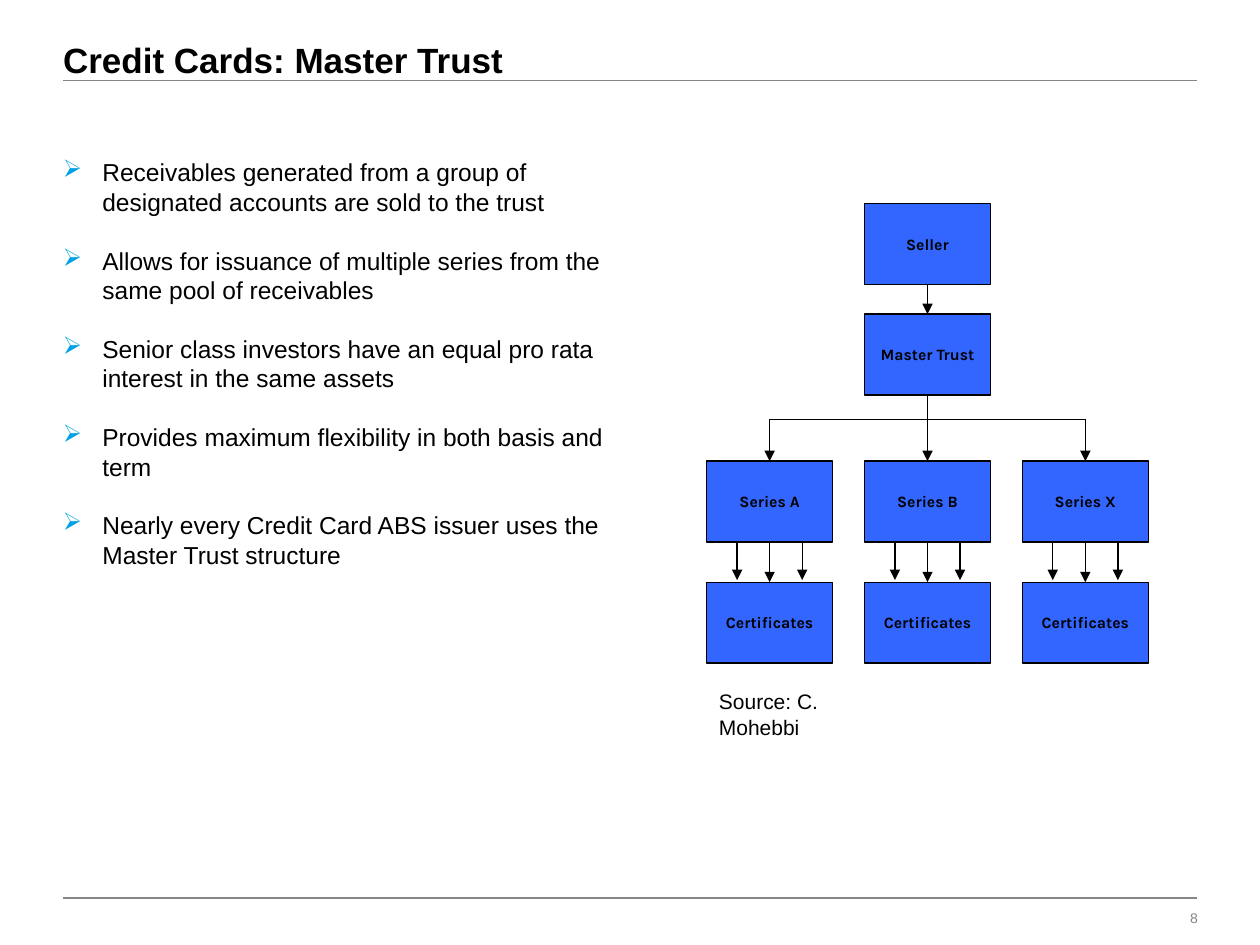
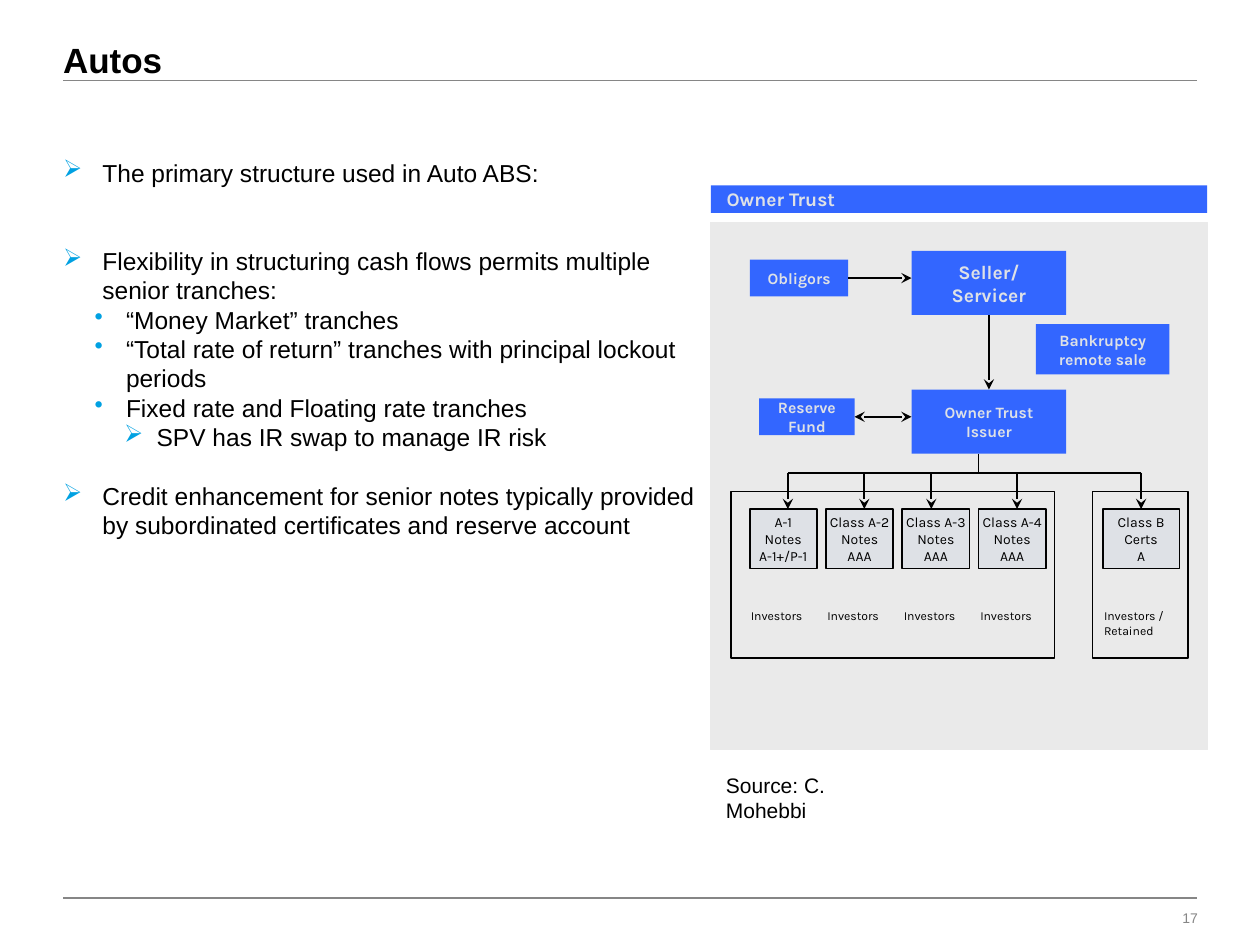
from lxml.etree import SubElement as Sub
from pptx import Presentation
from pptx.dml.color import RGBColor
from pptx.enum.shapes import MSO_CONNECTOR as Link, MSO_SHAPE as Form
from pptx.enum.text import MSO_ANCHOR as Anchor, PP_ALIGN as Align
from pptx.oxml.ns import qn
from pptx.util import Pt

BLACK = RGBColor(0x00, 0x00, 0x00)
GREY = RGBColor(0x86, 0x86, 0x86)
BLUE = RGBColor(0x33, 0x66, 0xFF)
CYAN = RGBColor(0x00, 0xA1, 0xE2)
PALE = RGBColor(0xDE, 0xE1, 0xE6)
PANEL = RGBColor(0xEA, 0xEA, 0xEA)

LEVELS = [("➢", 22.5, -22.5), ("•", 36, -18), ("➢", 53.5, -18.5)]
TOP, LEFT, BOTTOM, RIGHT = range(4)
GAP = 16.8


def write(frame, lines, size=9, font="Karla", color=BLACK, bold=False,
          align=Align.LEFT, anchor=Anchor.TOP, pad=(0, 0), wrap=True):
    """Fill a text frame with one paragraph per line."""
    frame.word_wrap = wrap
    frame.vertical_anchor = anchor
    frame.margin_left = frame.margin_right = Pt(pad[0])
    frame.margin_top = frame.margin_bottom = Pt(pad[1])
    for i, line in enumerate(lines):
        para = frame.paragraphs[0] if i == 0 else frame.add_paragraph()
        para.text = line
        para.alignment = align
        for run in para.runs:
            run.font.size, run.font.name, run.font.bold = Pt(size), font, bold
            run.font.color.rgb = color
    return frame


def label(slide, x, y, w, h, lines, **fmt):
    """Add a text box."""
    box = slide.shapes.add_textbox(Pt(x), Pt(y), Pt(w), Pt(h))
    return write(box.text_frame, lines, **fmt)


def rect(slide, x, y, w, h, lines=(), fill=None, line=None, width=1, **fmt):
    """Add a rectangle with optional fill, line and text."""
    box = slide.shapes.add_shape(Form.RECTANGLE, Pt(x), Pt(y), Pt(w), Pt(h))
    box.shadow.inherit = False
    if fill is None:
        box.fill.background()
    else:
        box.fill.solid()
        box.fill.fore_color.rgb = fill
    if line is None:
        box.line.fill.background()
    else:
        box.line.color.rgb = line
        box.line.width = Pt(width)
    if lines:
        style = dict(align=Align.CENTER, anchor=Anchor.MIDDLE, pad=(9, 5.5))
        write(box.text_frame, lines, **{**style, **fmt})
    return box


def wire(slide, x1, y1, x2, y2, color=BLACK, width=1, head=None, tail=None,
         start=None, end=None):
    """Add a straight line; start and end are (shape, side) joints."""
    link = slide.shapes.add_connector(
        Link.STRAIGHT, Pt(x1), Pt(y1), Pt(x2), Pt(y2))
    if start:
        link.begin_connect(*start)
    if end:
        link.end_connect(*end)
    link.line.color.rgb = color
    link.line.width = Pt(width)
    for tag, kind in (("a:headEnd", head), ("a:tailEnd", tail)):
        if kind:
            Sub(link.line._get_or_add_ln(), qn(tag), type=kind)
    Sub(link._element.spPr, qn("a:effectLst"))


def base(deck, title, page):
    """Add a slide with its title, rules and page number."""
    slide = deck.slides.add_slide(deck.slide_layouts[6])
    for y in (46, 513.3):
        wire(slide, 36, y, 684, y, color=GREY)
    label(slide, 36, 21.6, 647, 24.5, [title], size=20, font="Arial",
          bold=True, anchor=Anchor.BOTTOM)
    label(slide, 644.5, 519.8, 40, 9.4, [page], size=8, font="Arial",
          color=GREY, align=Align.RIGHT)
    return slide


def points(slide, x, y, w, h, items):
    """Add a bullet list from (level, space before, text) items."""
    frame = label(slide, x, y, w, h, [text for _, _, text in items],
                  size=14, font="Arial")
    for para, (level, space, _) in zip(frame.paragraphs, items):
        mark, left, hang = LEVELS[level]
        props = para._p.get_or_add_pPr()
        props.set("marL", str(Pt(left)))
        props.set("indent", str(Pt(hang)))
        Sub(Sub(props, qn("a:buClr")), qn("a:srgbClr"), val=str(CYAN))
        Sub(props, qn("a:buChar"), char=mark)
        if space:
            para.space_before = Pt(space)


def source(slide, x, y):
    """Add the source note."""
    label(slide, x, y, 94, 36, ["Source: C. Mohebbi"], size=12,
          font="Arial", pad=(7.2, 3.6))


def trust(slide, x, y):
    """Draw the master trust tree."""
    w, h, pitch = 72, 46.2, 90.2
    thin = dict(width=0.75)
    arrow = dict(thin, tail="triangle")

    def node(col, dy, text):
        """Add one blue box of the tree."""
        return rect(slide, x + col * pitch, y + dy, w, h, [text], fill=BLUE,
                    line=BLACK, bold=True, **thin)

    seller = node(1, 0, "Seller")
    master = node(1, 63, "Master Trust")
    wire(slide, 0, 0, 0, 0, start=(seller, BOTTOM), end=(master, TOP), **arrow)
    bar = y + 123.2
    first = x + w / 2
    wire(slide, first, bar, first + 2 * pitch, bar, **thin)
    for col, name in enumerate(("Series A", "Series B", "Series X")):
        mid = first + col * pitch
        series = node(col, 147, name)
        certs = node(col, 216.2, "Certificates")
        start = (master, BOTTOM) if col == 1 else None
        wire(slide, mid, bar, mid, y + 147, start=start, end=(series, TOP),
             **arrow)
        wire(slide, 0, 0, 0, 0, start=(series, BOTTOM), end=(certs, TOP),
             **arrow)
        for dx in (-18.6, 18.6):
            wire(slide, mid + dx, y + 147 + h, mid + dx, y + 215, **arrow)


def owner(slide, x, y):
    """Draw the owner trust panel."""
    def node(dx, dy, w, h, lines, size=9, **fmt):
        """Add one blue box of the panel."""
        return rect(slide, x + dx, y + dy, w, h, lines, fill=BLUE, size=size,
                    color=PALE, bold=True, **fmt)

    def tranche(dx, w, lines):
        """Add one pale box for a class of notes."""
        return rect(slide, x + dx, y + 185, w, 34, lines, fill=PALE,
                    line=BLACK, size=8, pad=(6.5, 3.6), wrap=False)

    node(0, 0, 283.7, 15.8, ["Owner Trust"], size=11, align=Align.LEFT)
    rect(slide, x, y + 21, 283.7, 301.6, fill=PANEL, line=PANEL, width=0.5)
    for dx, w in ((11.5, 185), (218.2, 54.7)):
        rect(slide, x + dx, y + 175, w, 95, line=BLACK)

    payers = node(22.3, 42.5, 56.2, 21, ["Obligors"])
    seller = node(114.7, 37.4, 88.4, 36.7, ["Seller/", "Servicer"], size=11)
    node(185.8, 79.3, 76.3, 28.8, ["Bankruptcy remote sale"])
    issuer = node(114.7, 116.7, 88.4, 36.7, ["Owner Trust", "Issuer"])
    fund = node(27.6, 121.8, 54.5, 21, ["Reserve", "Fund"])
    wire(slide, 0, 0, x + 114.7, y + 53, start=(payers, RIGHT),
         tail="stealth")
    wire(slide, 0, 0, 0, 0, start=(seller, BOTTOM), end=(issuer, TOP),
         tail="stealth")
    wire(slide, 0, 0, x + 114.7, y + 132.3, start=(fund, RIGHT),
         head="stealth", tail="stealth")

    bar, low = y + 164.2, y + 185
    wire(slide, x + 153, y + 153.4, x + 153, bar)
    wire(slide, x + 44, bar, x + 245.9, bar)
    notes = [("A-1", "A-1+/P-1"), ("Class A-2", "AAA"),
             ("Class A-3", "AAA"), ("Class A-4", "AAA")]
    drops = (44, 87.7, 126, 175)
    for i, ((name, grade), drop) in enumerate(zip(notes, drops)):
        tranche(22.2 + 43.6 * i, 38.4, [name, "Notes", grade])
        wire(slide, x + drop, bar, x + drop, low, tail="stealth")
        label(slide, x + 16.4 + 43.7 * i, y + 238.3, 50, 15, ["Investors"],
              size=7, pad=(6.5, 3.6))
    junior = tranche(223.9, 44, ["Class B", "Certs", "A"])
    wire(slide, x + 245.9, bar, x + 245.9, low, end=(junior, TOP),
         tail="stealth")
    label(slide, x + 218.2, y + 238.3, 65.5, 23.8, ["Investors /\vRetained"],
          size=7, pad=(6.5, 3.6))


def cards(deck):
    """Build the credit card slide."""
    slide = base(deck, "Credit Cards: Master Trust", "8")
    texts = [
        "Receivables generated from a group of designated accounts are sold "
        "to the trust",
        "Allows for issuance of multiple series from the same pool of "
        "receivables",
        "Senior class investors have an equal pro rata interest in the same "
        "assets",
        "Provides maximum flexibility in both basis and term",
        "Nearly every Credit Card ABS issuer uses the Master Trust structure",
    ]
    items = [(0, GAP if i else 0, text) for i, text in enumerate(texts)]
    points(slide, 36, 90, 324, 390, items)
    trust(slide, 403.8, 116.5)
    source(slide, 403.8, 390.2)


def autos(deck):
    """Build the auto slide."""
    slide = base(deck, "Autos", "17")
    points(slide, 36, 90, 370, 370, [
        (0, 0, "The primary structure used in Auto ABS:"),
        (0, 2 * GAP, "Flexibility in structuring cash flows permits multiple "
                     "senior tranches:"),
        (1, 0, "“Money Market” tranches"),
        (1, 0, "“Total rate of return” tranches with principal lockout "
               "periods"),
        (1, 0, "Fixed rate and Floating rate tranches"),
        (2, 0, "SPV has IR swap to manage IR risk"),
        (0, GAP, "Credit enhancement for senior notes typically provided by "
                 "subordinated certificates and reserve account"),
    ])
    owner(slide, 406.2, 105.9)
    source(slide, 407.8, 438)


def main():
    """Build and save the deck."""
    deck = Presentation()
    deck.slide_width, deck.slide_height = Pt(720), Pt(540)
    cards(deck)
    autos(deck)
    deck.save("out.pptx")


if __name__ == "__main__":
    main()
